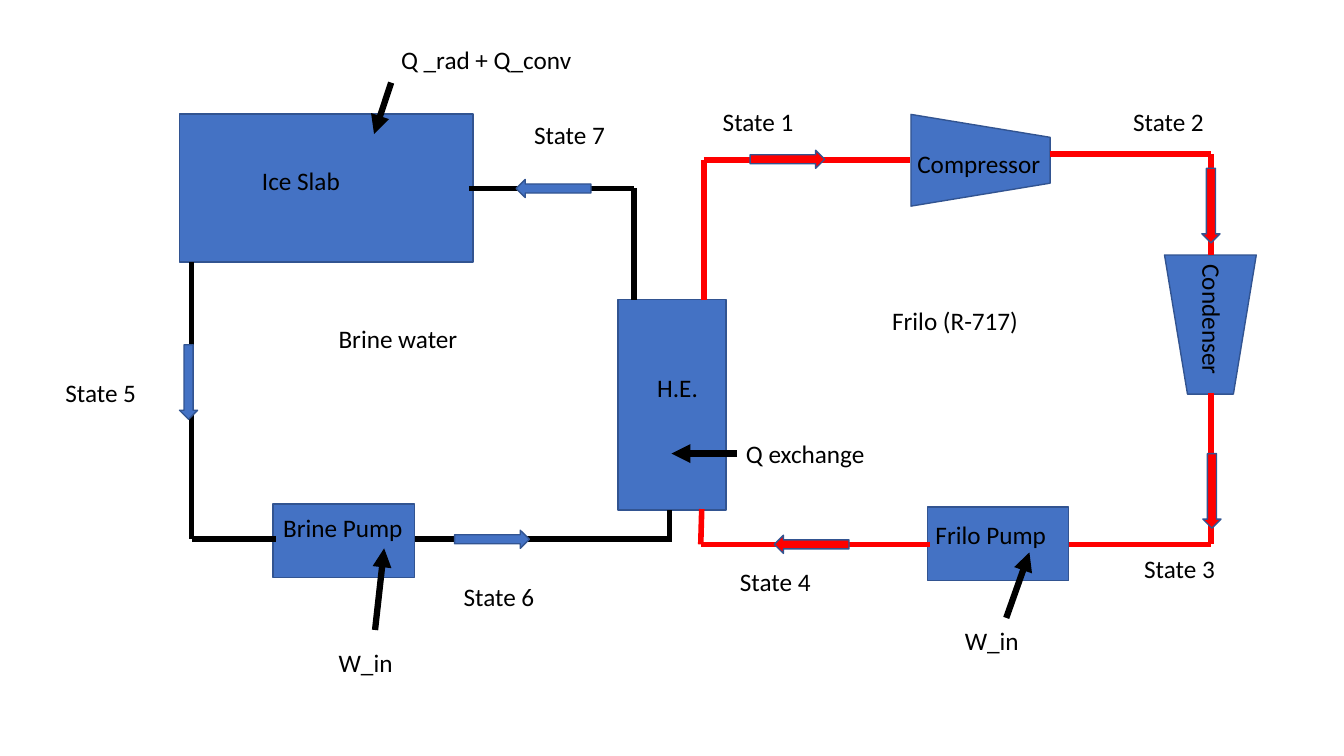
import itertools

import pptx
import pptx.dml.color
import pptx.enum.shapes
import pptx.enum.text
import pptx.oxml.ns
import pptx.oxml.xmlchemy
import pptx.util

Inches = pptx.util.Inches
Pt = pptx.util.Pt
SHAPES = pptx.enum.shapes.MSO_SHAPE

BLACK = "000000"
RED = "FF0000"
BLUE = "4472C4"
EDGE = "325491"
LABEL_HEIGHT = 0.4
STATE_WIDTH = 0.97
FLOW_SIZE = (0.74, 0.18)

EQUIPMENT = [
    (SHAPES.RECTANGLE, 9.2, 5.03, 1.4, 0.73, 0),
    (SHAPES.RECTANGLE, 2.71, 5, 1.4, 0.73, 0),
    (SHAPES.RECTANGLE, 1.78, 1.13, 2.91, 1.47, 0),
    (SHAPES.RECTANGLE, 5.62, 3.48, 2.09, 1.07, 90),
    (SHAPES.TRAPEZOID, 9.27, 0.9, 0.91, 1.38, 90),
    (SHAPES.TRAPEZOID, 11.55, 2.53, 0.91, 1.38, 180),
]

BRINE_PIPES = [
    [(1.9, 2.6), (1.9, 5.35), (2.74, 5.35)],
    [(4.12, 5.35), (6.67, 5.35)],
    [(6.64, 5.35), (6.64, 5.06)],
    [(4.65, 1.87), (6.29, 1.87), (6.29, 2.98)],
]

REFRIGERANT_PIPES = [
    [(6.98, 2.98), (6.98, 1.59), (9.03, 1.59)],
    [(10.41, 1.53), (12.01, 1.53), (12.01, 2.53)],
    [(12.01, 3.9), (12.01, 5.4), (10.6, 5.4)],
    [(9.22, 5.4), (6.95, 5.4), (6.96, 5.05)],
]

FLOW_ARROWS = [
    (BLUE, 4.51, 5.26, 0),
    (BLUE, 1.5, 3.7, 90),
    (BLUE, 5.12, 1.78, 180),
    (RED, 7.44, 1.49, 0),
    (RED, 7.68, 5.31, 180),
    (RED, 11.65, 4.78, 90),
    (RED, 11.64, 1.95, 90),
]

ENERGY_ARROWS = [
    ((7.31, 4.5), (6.66, 4.5)),
    ((3.88, 0.82), (3.71, 1.33)),
    ((3.72, 6.25), (3.81, 5.44)),
    ((9.98, 6.13), (10.21, 5.48)),
]

STATES = [
    (7.07, 1.01),
    (11.14, 1.01),
    (11.25, 5.44),
    (7.24, 5.57),
    (0.55, 3.69),
    (4.5, 5.72),
    (5.2, 1.13),
]

LABELS = [
    ("Ice Slab", 2.5, 1.59, 1.88, 0),
    ("Brine Pump", 2.71, 5.03, 1.46, 0),
    ("H.E.", 6.42, 3.64, 0.66, 0),
    ("Compressor", 9, 1.42, 1.6, 0),
    ("Condenser", 11.21, 3.14, 1.63, 90),
    ("Frilo Pump", 9.18, 5.1, 1.6, 0),
    ("Brine water", 3.26, 3.16, 2.2, 0),
    ("Frilo (R-717)", 8.75, 2.98, 1.85, 0),
    ("Q exchange", 7.3, 4.3, 1.5, 0),
    ("Q _rad + Q_conv", 3.88, 0.39, 1.97, 0),
    ("W_in", 3.26, 6.37, 0.95, 0),
    ("W_in", 9.47, 6.15, 0.95, 0),
]


def color(value):
    return pptx.dml.color.RGBColor.from_string(value)


def apply(target, formats):
    for name, value in formats.items():
        setattr(target, name, value)


def add_block(page, kind, left, top, width, height, rotation, fill=BLUE):
    block = page.shapes.add_shape(
        kind, Inches(left), Inches(top), Inches(width), Inches(height)
    )
    block.rotation = rotation
    block.shadow.inherit = False
    block.fill.solid()
    block.fill.fore_color.rgb = color(fill)
    block.line.color.rgb = color(EDGE)
    block.line.width = Pt(1)


def add_line(page, start, end, tint, width):
    line = page.shapes.add_connector(
        pptx.enum.shapes.MSO_CONNECTOR.STRAIGHT,
        *(Inches(value) for value in start + end),
    )
    line.line.color.rgb = color(tint)
    line.line.width = Pt(width)
    properties = line._element.spPr
    properties.append(pptx.oxml.xmlchemy.OxmlElement("a:effectLst"))
    return line


def add_pipe(page, route, tint):
    for start, end in itertools.pairwise(route):
        add_line(page, start, end, tint, 4)


def add_energy_arrow(page, start, end):
    arrow = add_line(page, start, end, BLACK, 4.5)
    head = pptx.oxml.xmlchemy.OxmlElement("a:tailEnd")
    head.set("type", "triangle")
    arrow._element.spPr.find(pptx.oxml.ns.qn("a:ln")).append(head)


def add_label(page, text, left, top, width, rotation=0):
    box = page.shapes.add_textbox(
        Inches(left), Inches(top), Inches(width), Inches(LABEL_HEIGHT)
    )
    box.rotation = rotation
    apply(box.text_frame, {
        "word_wrap": True,
        "auto_size": pptx.enum.text.MSO_AUTO_SIZE.SHAPE_TO_FIT_TEXT,
    })
    span = box.text_frame.paragraphs[0].add_run()
    span.text = text
    apply(span.font, {"name": "Calibri", "size": Pt(18)})
    span.font.color.rgb = color(BLACK)


def main():
    deck = pptx.Presentation()
    apply(deck, {"slide_width": Inches(13.33), "slide_height": Inches(7.5)})
    page = deck.slides.add_slide(deck.slide_layouts[6])

    for block in EQUIPMENT:
        add_block(page, *block)
    for tint, pipes in ((BLACK, BRINE_PIPES), (RED, REFRIGERANT_PIPES)):
        for route in pipes:
            add_pipe(page, route, tint)
    for fill, left, top, rotation in FLOW_ARROWS:
        add_block(page, SHAPES.RIGHT_ARROW, left, top, *FLOW_SIZE, rotation, fill)
    for start, end in ENERGY_ARROWS:
        add_energy_arrow(page, start, end)
    for number, (left, top) in enumerate(STATES, 1):
        add_label(page, f"State {number}", left, top, STATE_WIDTH)
    for label in LABELS:
        add_label(page, *label)

    deck.save("out.pptx")


if __name__ == "__main__":
    main()
